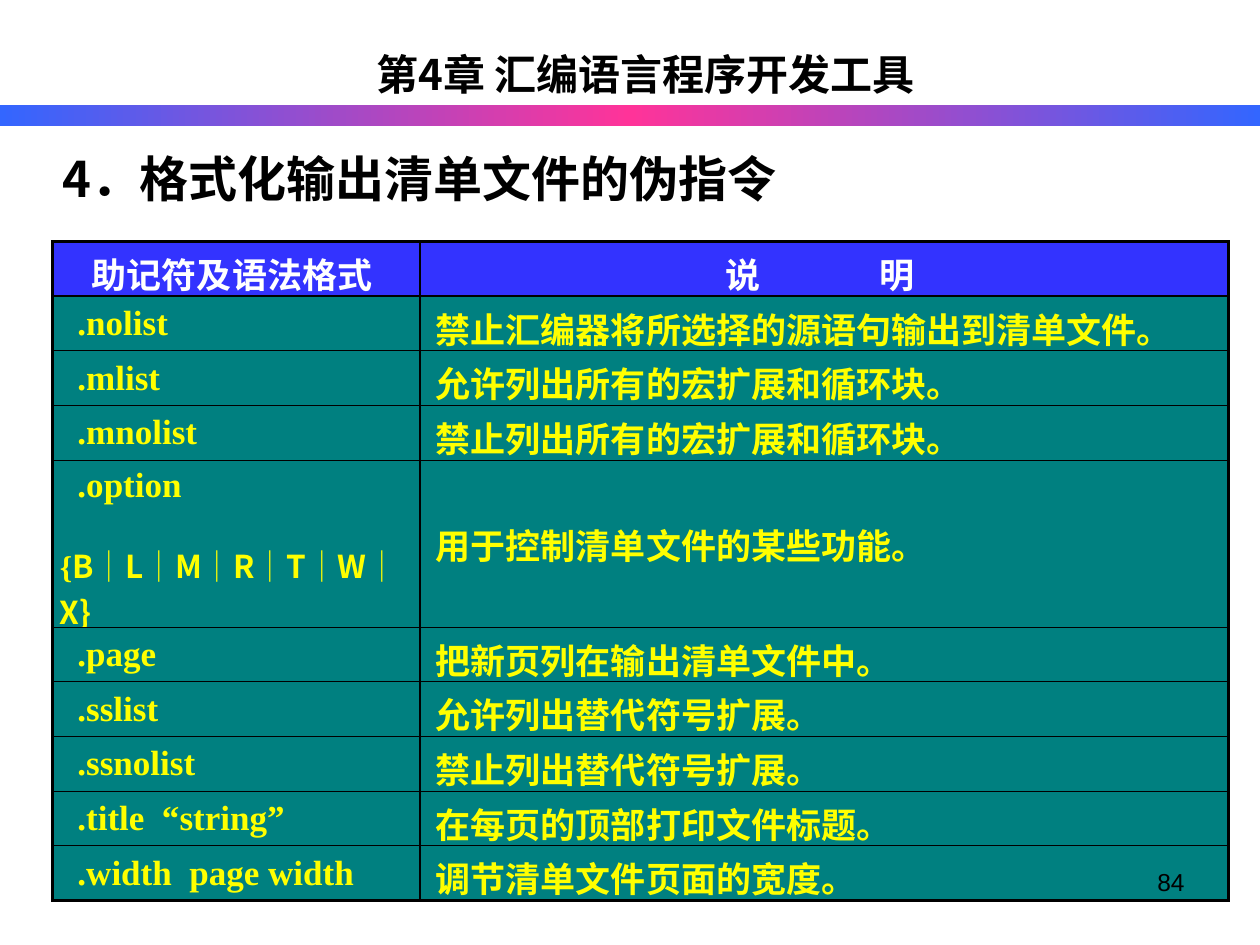
"""Builds the slide on assembler directives that format the listing file."""
from lxml import etree
from pptx import Presentation
from pptx.dml.color import RGBColor
from pptx.enum import shapes, text
from pptx.oxml import ns
from pptx.util import Pt

COLORS = {"black": "000000", "white": "FFFFFF", "yellow": "FFFF00", "header": "3333FF",
          "body": "008080", "blue": "3366FF", "pink": "FF3399"}
CJK, SERIF, SANS = "Noto Sans CJK SC", "Times New Roman", "Arial"
CHAPTER = "第4章 汇编语言程序开发工具"
HEADING = "4．格式化输出清单文件的伪指令"
PAGE_NUMBER = "84"
DIRECTIVES = [
    (".nolist", "禁止汇编器将所选择的源语句输出到清单文件。"),
    (".mlist", "允许列出所有的宏扩展和循环块。"),
    (".mnolist", "禁止列出所有的宏扩展和循环块。"),
    (".option", "用于控制清单文件的某些功能。"),
    (".page", "把新页列在输出清单文件中。"),
    (".sslist", "允许列出替代符号扩展。"),
    (".ssnolist", "禁止列出替代符号扩展。"),
    (".title  “string”", "在每页的顶部打印文件标题。"),
    (".width  page width", "调节清单文件页面的宽度。"),
]
OPTION_FLAGS = [("{", SERIF), ("B│L│M│R│T│W│X}", CJK)]
OPTION_ROW = 4
COLUMN_WIDTHS = (210, 462)
ROW_HEIGHT, OPTION_HEIGHT = 27.36, 92.16
THIN, THICK = 0.75, 1.5
HEADER_GAP = 68


def color(name):
    return RGBColor.from_string(COLORS[name])


def add_span(para, words, size, font, ink="black", bold=True):
    span = para.add_run()
    span.text = words
    span.font.size, span.font.bold, span.font.name = Pt(size), bold, font
    span.font.color.rgb = color(ink)
    east_asian = etree.SubElement(span.font._element, ns.qn("a:ea"))
    east_asian.set("typeface", font)
    return span


def place(box, left, top, width, height):
    box.left, box.top, box.width, box.height = Pt(left), Pt(top), Pt(width), Pt(height)
    box.text_frame.word_wrap = True
    box.text_frame.vertical_anchor = text.MSO_ANCHOR.TOP
    return box.text_frame.paragraphs[0]


def add_borders(cell, widths):
    properties = cell._tc.get_or_add_tcPr()
    for index, (side, width) in enumerate(widths.items()):
        line = etree.Element(ns.qn(f"a:ln{side}"), w=str(int(Pt(width))))
        fill = etree.SubElement(line, ns.qn("a:solidFill"))
        etree.SubElement(fill, ns.qn("a:srgbClr"), val=COLORS["black"])
        properties.insert(index, line)


def add_band(page):
    band = page.shapes.add_shape(shapes.MSO_SHAPE.RECTANGLE, 0, Pt(60), Pt(720), Pt(12))
    band.shadow.inherit = False
    band.line.fill.background()
    band.fill.gradient()
    band.fill.gradient_angle = 0
    stops = band.fill._fill._gradFill.find(ns.qn("a:gsLst"))
    for stop in list(stops):
        stops.remove(stop)
    for position, name in ((0, "blue"), (50, "pink"), (100, "blue")):
        stop = etree.SubElement(stops, ns.qn("a:gs"), pos=str(position * 1000))
        etree.SubElement(stop, ns.qn("a:srgbClr"), val=COLORS[name])


def fill_header(table):
    first, second = (table.cell(0, column).text_frame.paragraphs[0] for column in (0, 1))
    for column, para in enumerate((first, second)):
        para.alignment = text.PP_ALIGN.CENTER
        table.cell(0, column).margin_right = Pt(9)
    add_span(first, "助记符及语法格式", 20, CJK, "white")
    spaced = add_span(second, "说", 20, CJK, "white")
    spaced.font._element.set("spc", str(HEADER_GAP * 100))
    add_span(second, "明", 20, CJK, "white")


def fill_body(table):
    for row, (directive, meaning) in enumerate(DIRECTIVES, 1):
        name, note = table.cell(row, 0), table.cell(row, 1)
        para = name.text_frame.paragraphs[0]
        para._p.get_or_add_pPr().set("indent", str(int(Pt(10))))
        add_span(para, directive, 20, SERIF, "yellow")
        note.margin_left = Pt(9)
        add_span(note.text_frame.paragraphs[0], meaning, 20, CJK, "yellow")
    flags = table.cell(OPTION_ROW, 0).text_frame.add_paragraph()
    flags.space_before = Pt(21)
    for words, font in OPTION_FLAGS:
        add_span(flags, words, 18, font, "yellow")


def add_directive_table(page):
    rows = len(DIRECTIVES) + 1
    height = ROW_HEIGHT * (rows - 1) + OPTION_HEIGHT
    table = page.shapes.add_table(rows, 2, Pt(30), Pt(138), Pt(sum(COLUMN_WIDTHS)),
                                  Pt(height)).table
    for column, width in enumerate(COLUMN_WIDTHS):
        table.columns[column].width = Pt(width)
    for row in range(rows):
        table.rows[row].height = Pt(OPTION_HEIGHT if row == OPTION_ROW else ROW_HEIGHT)
        for column in range(2):
            cell = table.cell(row, column)
            cell.margin_left = cell.margin_right = Pt(4.3)
            cell.margin_top = cell.margin_bottom = Pt(3.6)
            cell.vertical_anchor = text.MSO_ANCHOR.MIDDLE
            cell.fill.solid()
            cell.fill.fore_color.rgb = color("body" if row else "header")
            add_borders(cell, {
                "L": THIN if column else THICK,
                "R": THICK if column else THIN,
                "T": THICK if row < 2 else THIN,
                "B": THICK if row in (0, rows - 1) else THIN,
            })
    fill_header(table)
    fill_body(table)


def main():
    deck = Presentation()
    deck.slide_width, deck.slide_height = Pt(720), Pt(540)
    page = deck.slides.add_slide(deck.slide_layouts[5])

    chapter = place(page.shapes.add_textbox(0, 0, 0, 0), 192, 24, 354, 36)
    chapter.alignment = text.PP_ALIGN.CENTER
    add_span(chapter, CHAPTER, 24, CJK)
    add_band(page)

    title = page.shapes.title
    heading = place(title, 6, 78, 702, 45)
    title.text_frame.margin_left = Pt(29.5)
    title.text_frame.auto_size = text.MSO_AUTO_SIZE.NONE
    heading.alignment, heading.line_spacing = text.PP_ALIGN.LEFT, 1.1
    add_span(heading, HEADING, 28, CJK)

    add_directive_table(page)
    number = place(page.shapes.add_textbox(0, 0, 0, 0), 516, 492, 168, 37)
    number.alignment = text.PP_ALIGN.RIGHT
    add_span(number, PAGE_NUMBER, 14, SANS, bold=False)
    deck.save("out.pptx")


if __name__ == "__main__":
    main()
